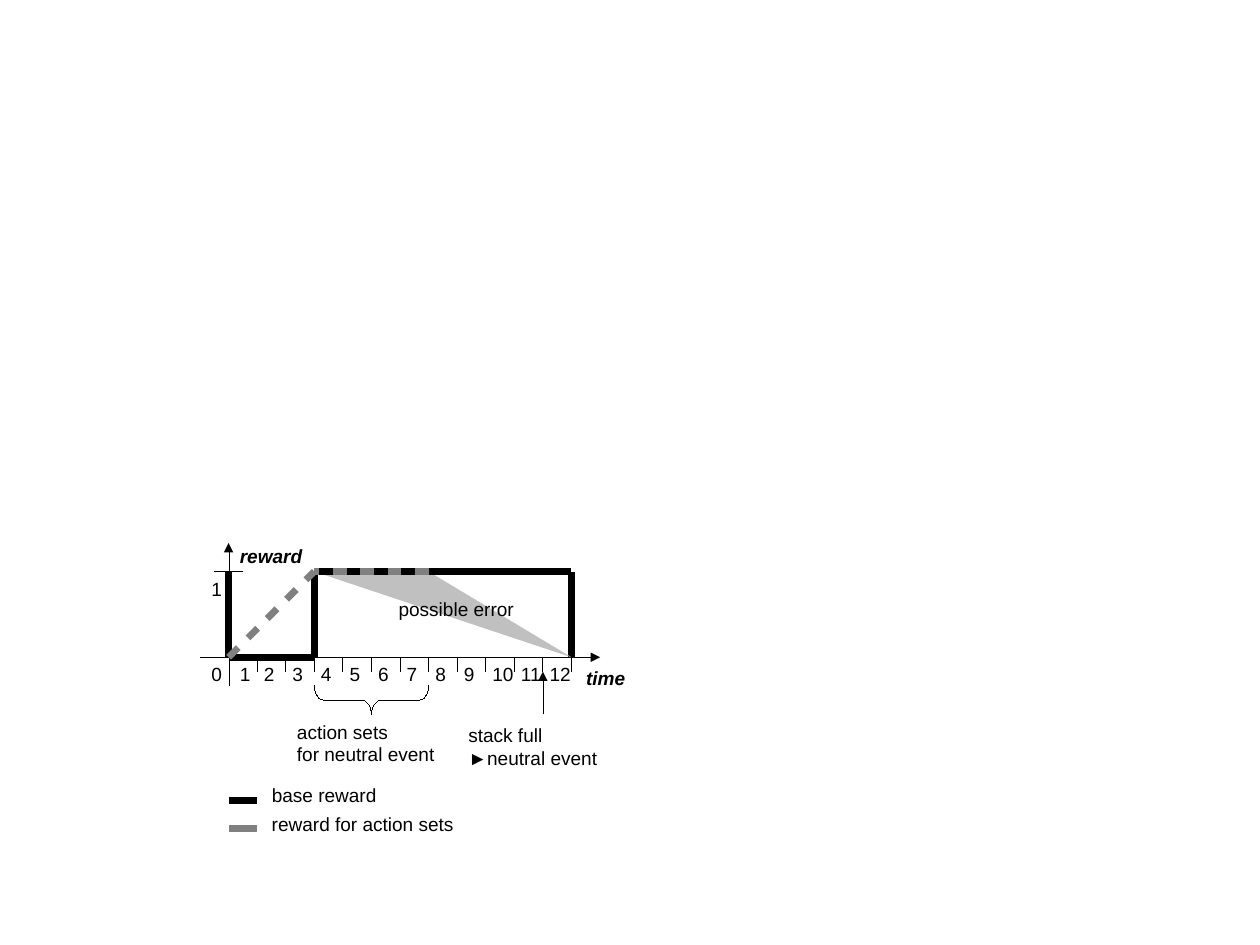
"""Draw the reward-over-time diagram on one slide."""
from lxml import etree
from pptx import Presentation
from pptx import util as u
from pptx.dml.color import RGBColor
from pptx.enum import shapes, text
from pptx.oxml.ns import qn

COLORS = {"ink": "000000", "grey": "808080", "error": "C0C0C0"}
STEP = 18
X0, BASE, TOP = 144, 414, 360
HAIR, THICK = 0.01, 4.31
NARROW, WIDE = (7.2, 3.6), (9.2, 5.6)


def at(time):
    return X0 + STEP * time


class Diagram:
    def __init__(self, slide, font="Arial", size=12):
        self.s = slide
        self.font = font
        self.size = size

    def color(self, name):
        return RGBColor.from_string(COLORS[name])

    def line(self, x1, y1, x2, y2, width=HAIR, color="ink", dashed=False, arrow=False):
        sp = self.s.shapes.add_connector(
            shapes.MSO_CONNECTOR.STRAIGHT, u.Pt(x1), u.Pt(y1), u.Pt(x2), u.Pt(y2))
        sp.line.width = u.Pt(width)
        sp.line.color.rgb = self.color(color)
        ln = sp.line._get_or_add_ln()
        if dashed:
            dash = etree.SubElement(ln, qn("a:custDash"))
            etree.SubElement(dash, qn("a:ds"), d="200000", sp="200000")
        if arrow:
            etree.SubElement(ln, qn("a:tailEnd"), type="triangle")
        etree.SubElement(sp._element.spPr, qn("a:effectLst"))

    def text(self, content, x, y, w, h=20.88, inset=NARROW, strong=False):
        sp = self.s.shapes.add_textbox(u.Pt(x), u.Pt(y), u.Pt(w), u.Pt(h))
        tf = sp.text_frame
        tf.word_wrap = False
        tf.auto_size = text.MSO_AUTO_SIZE.SHAPE_TO_FIT_TEXT
        tf.margin_left = tf.margin_right = u.Pt(inset[0])
        tf.margin_top = tf.margin_bottom = u.Pt(inset[1])
        tf.text = content
        for p in tf.paragraphs:
            for r in p.runs:
                r.font.name = self.font
                r.font.size = u.Pt(self.size)
                r.font.bold = r.font.italic = strong
                r.font.color.rgb = self.color("ink")

    def area(self, points, color):
        pts = [(u.Pt(x), u.Pt(y)) for x, y in points]
        builder = self.s.shapes.build_freeform(*pts[0], scale=1.0)
        builder.add_line_segments(pts[1:], close=True)
        sp = builder.convert_to_shape()
        sp.shadow.inherit = False
        sp.fill.solid()
        sp.fill.fore_color.rgb = self.color(color)
        sp.line.fill.background()

    def brace_below(self, x, y, w, h):
        sp = self.s.shapes.add_shape(
            shapes.MSO_SHAPE.RIGHT_BRACE,
            u.Pt(x + (w - h) / 2), u.Pt(y + (h - w) / 2), u.Pt(h), u.Pt(w))
        sp.rotation = 90
        sp.adjustments[0] = 0.33
        sp.shadow.inherit = False
        sp.fill.background()
        sp.line.width = u.Pt(HAIR)
        sp.line.color.rgb = self.color("ink")


def main():
    prs = Presentation()
    prs.slide_width, prs.slide_height = u.Pt(793.75), u.Pt(595.25)
    d = Diagram(prs.slides.add_slide(prs.slide_layouts[6]))

    d.line(X0, 432, X0, 342, arrow=True)
    d.line(126, BASE, 378, BASE, arrow=True)
    d.line(X0 - 9, TOP, X0 + 9, TOP)
    d.text("0", 126, BASE, 21)
    d.text("1", 126, TOP, 21)
    for n in range(1, 13):
        d.line(at(n), BASE, at(n), BASE + 9)
        d.text(str(n), max(X0, at(n) - 20.88), BASE, 21 if n < 10 else 28)
    d.text("reward", X0, 339.12, 54, strong=True)
    d.text("time", at(12), BASE, 43.2, 25.2, WIDE, strong=True)

    d.line(at(0), BASE, at(3), BASE, THICK)
    d.line(at(3), TOP, at(3), BASE, THICK)
    d.line(at(0), TOP, at(0), BASE, THICK)
    d.line(at(0), BASE, at(3), TOP, THICK, "grey", dashed=True)
    d.line(at(12), TOP, at(12), BASE, THICK)
    d.area([(at(3), TOP), (at(12), BASE), (at(7), TOP)], "error")
    d.line(at(3), TOP, at(12), TOP, THICK)
    d.line(at(7), TOP, at(3), TOP, THICK, "grey", dashed=True)
    d.text("possible error", 241.92, 370.8, 91.44, 25.2, WIDE)

    d.brace_below(at(3), 432, 4 * STEP, STEP)
    d.text("action sets\nfor neutral event", 180, 450, 101.52, 33.84)
    d.line(at(11), 450, at(11), BASE + 9, arrow=True)
    d.text("stack full\n►neutral event", 288, 452.16, 95.76, 33.84)

    legend = [("base reward", "ink", 84.96), ("reward for action sets", "grey", 133.92)]
    for i, (label, color, width) in enumerate(legend):
        y = 504 + STEP * i
        d.line(at(0), y, at(1), y, THICK, color)
        d.text(label, at(1), y - 15.84, width, 25.2, WIDE)

    prs.save("out.pptx")


if __name__ == "__main__":
    main()
